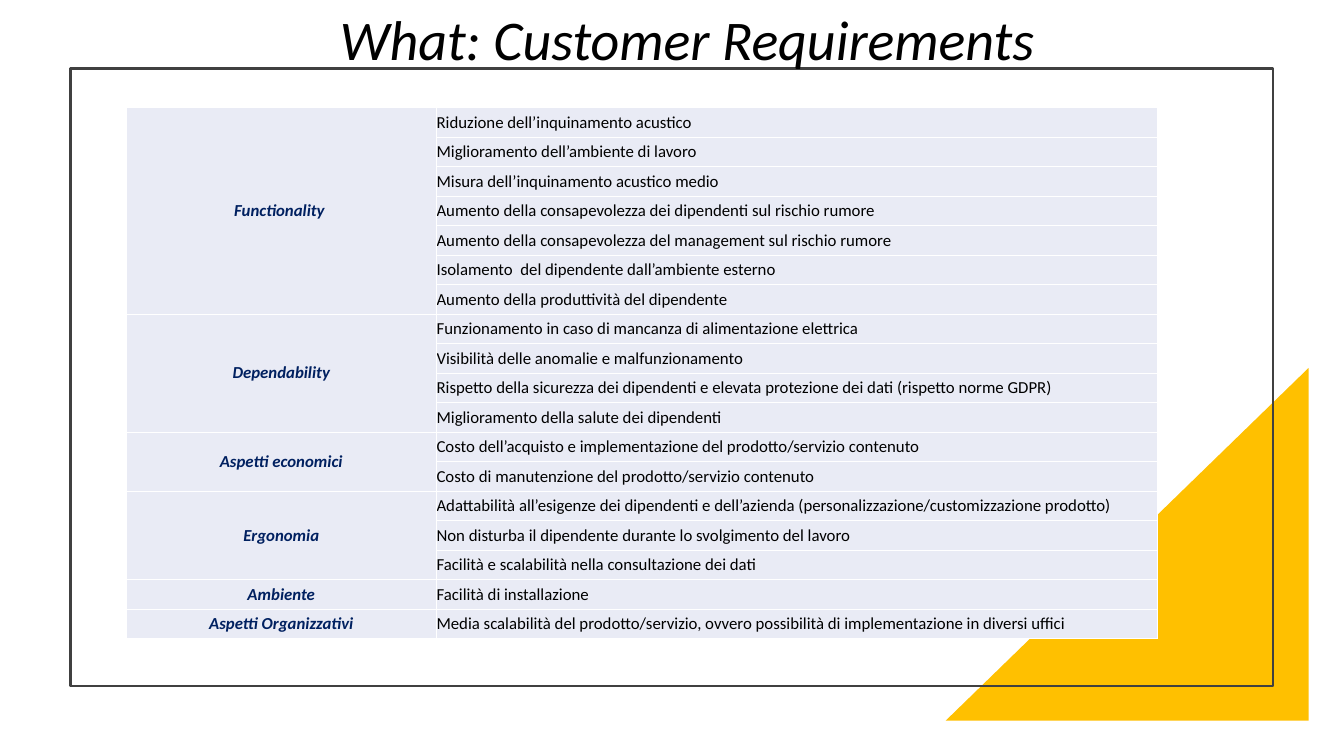
from pptx import Presentation
from pptx.dml.color import RGBColor
from pptx.enum.shapes import MSO_SHAPE as Shape
from pptx.enum.text import MSO_ANCHOR as Anchor, MSO_AUTO_SIZE as AutoSize, PP_ALIGN as Align
from pptx.oxml import parse_xml
from pptx.oxml.ns import nsdecls, qn
from pptx.util import Inches, Pt

REQUIREMENTS = [
    ("Functionality ", [
        "Riduzione dell’inquinamento acustico",
        "Miglioramento dell’ambiente di lavoro",
        "Misura dell’inquinamento acustico medio",
        "Aumento della consapevolezza dei dipendenti sul rischio rumore",
        "Aumento della consapevolezza del management sul rischio rumore",
        "Isolamento  del dipendente dall’ambiente esterno",
        "Aumento della produttività del dipendente",
    ]),
    ("Dependability", [
        "Funzionamento in caso di mancanza di alimentazione elettrica",
        "Visibilità delle anomalie e malfunzionamento",
        "Rispetto della sicurezza dei dipendenti e elevata protezione dei dati (rispetto norme GDPR)",
        "Miglioramento della salute dei dipendenti",
    ]),
    ("Aspetti economici", [
        "Costo dell’acquisto e implementazione del prodotto/servizio contenuto",
        "Costo di manutenzione del prodotto/servizio contenuto",
    ]),
    ("Ergonomia", [
        "Adattabilità all’esigenze dei dipendenti e dell’azienda (personalizzazione/customizzazione prodotto)",
        "Non disturba il dipendente durante lo svolgimento del lavoro",
        "Facilità e scalabilità nella consultazione dei dati",
    ]),
    ("Ambiente", ["Facilità di installazione"]),
    ("Aspetti Organizzativi", [
        "Media scalabilità del prodotto/servizio, ovvero possibilità di implementazione in diversi uffici",
    ]),
]


def rgb(value):
    return RGBColor.from_string(value)


class SlideBuilder:
    """Holds the style and the current slide, and adds each kind of element."""

    font = "Calibri"
    black, navy, gold, grey = "000000", "002060", "FFC000", "404040"
    cell_fill, border = "E9EBF5", "FFFFFF"

    def __init__(self, s):
        self.s = s

    def run(self, p, text, size, color, bold=False, italic=False):
        r = p.add_run()
        r.text = text
        f = r.font
        f.name, f.size, f.bold, f.italic = self.font, Pt(size), bold, italic
        f.color.rgb = rgb(color)

    def shape(self, kind, left, top, width, height, fill=None, line=None, flip=False):
        sp = self.s.shapes.add_shape(kind, Inches(left), Inches(top), Inches(width), Inches(height))
        sp.shadow.inherit = False
        if fill:
            sp.fill.solid()
            sp.fill.fore_color.rgb = rgb(fill)
        else:
            sp.fill.background()
        if line:
            sp.line.color.rgb = rgb(line)
            sp.line.width = Pt(1.5)
        else:
            sp.line.fill.background()
        if flip:
            sp._element.spPr.find(qn("a:xfrm")).set("flipH", "1")

    def title(self, text, left, top, width, height):
        sp = self.s.shapes.add_textbox(Inches(left), Inches(top), Inches(width), Inches(height))
        tf = sp.text_frame
        tf.word_wrap = False
        tf.auto_size = AutoSize.SHAPE_TO_FIT_TEXT
        p = tf.paragraphs[0]
        p.alignment = Align.CENTER
        self.run(p, text, 40, self.black, italic=True)

    def style_cell(self, cell):
        cell.margin_left = cell.margin_right = cell.margin_top = cell.margin_bottom = 0
        cell.vertical_anchor = Anchor.MIDDLE
        for side in ("lnL", "lnR", "lnT", "lnB"):
            cell._tc.get_or_add_tcPr().append(parse_xml(
                f'<a:{side} {nsdecls("a")} w="{Pt(1)}"><a:solidFill>'
                f'<a:srgbClr val="{self.border}"/></a:solidFill></a:{side}>'))
        cell.fill.solid()
        cell.fill.fore_color.rgb = rgb(self.cell_fill)
        cell.text_frame.paragraphs[0].font.size = Pt(12)

    def table(self, groups, left, top, widths, height):
        count = sum(len(items) for _, items in groups)
        tbl = self.s.shapes.add_table(
            count, len(widths), Inches(left), Inches(top), Inches(sum(widths)), Inches(height)).table
        tbl.first_row = tbl.horz_banding = False
        for col, width in zip(tbl.columns, widths):
            col.width = Inches(width)
        for row in tbl.rows:
            row.height = Inches(height / count)
        for cell in tbl.iter_cells():
            self.style_cell(cell)
        first = 0
        for name, items in groups:
            head = tbl.cell(first, 0)
            if len(items) > 1:
                head.merge(tbl.cell(first + len(items) - 1, 0))
            p = head.text_frame.paragraphs[0]
            p.alignment = Align.CENTER
            self.run(p, name, 12, self.navy, bold=True, italic=True)
            for i, item in enumerate(items, first):
                self.run(tbl.cell(i, 1).text_frame.paragraphs[0], item, 12, self.black)
            first += len(items)


def main():
    prs = Presentation()
    prs.slide_width, prs.slide_height = Inches(13.33), Inches(7.5)
    b = SlideBuilder(prs.slides.add_slide(prs.slide_layouts[6]))
    b.shape(Shape.RIGHT_TRIANGLE, 9.38, 3.65, 3.6, 3.5, fill=b.gold, flip=True)
    b.shape(Shape.RECTANGLE, 0.7, 0.68, 11.93, 6.13, line=b.grey)
    b.title("What: Customer Requirements", 3.23, 0, 7.17, 0.77)
    b.table(REQUIREMENTS, 1.25, 1.07, (3.08, 7.15), 5.27)
    prs.save("out.pptx")


if __name__ == "__main__":
    main()
